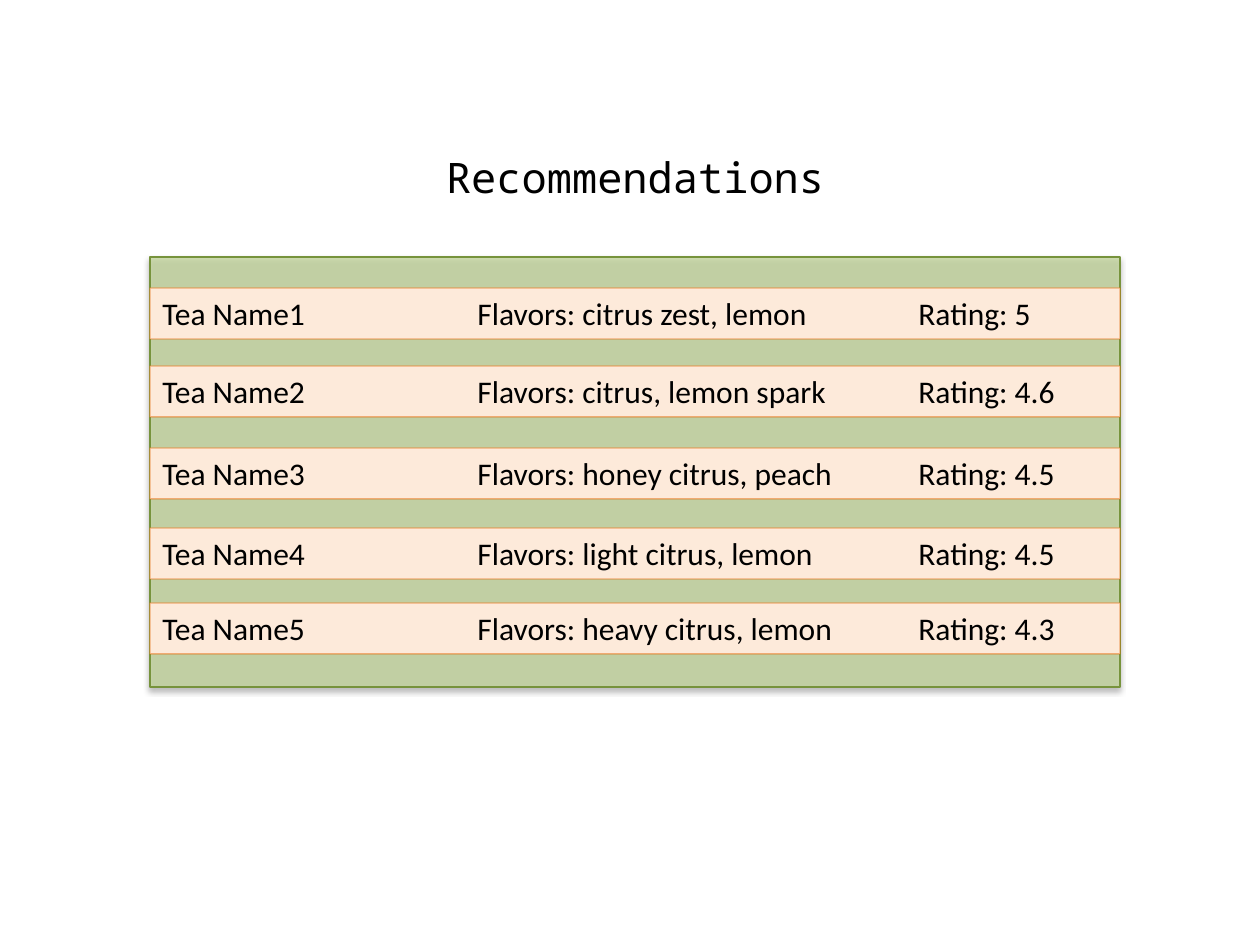
"""Build a slide listing five recommended teas with flavors and ratings."""
from lxml import etree
from pptx import Presentation
from pptx.dml.color import RGBColor
from pptx.enum.shapes import MSO_SHAPE
from pptx.enum.text import MSO_ANCHOR, MSO_AUTO_SIZE, PP_ALIGN
from pptx.oxml import parse_xml
from pptx.oxml.ns import qn
from pptx.util import Pt

PX = 914400 // 126
LEFT, WIDTH, ROW_HEIGHT = 150, 970, 51
FLAVORS_STOP, RATING_STOP = 315, 756
NAMESPACE = 'xmlns:a="http://schemas.openxmlformats.org/drawingml/2006/main"'


def color(value):
    return RGBColor.from_string(value)


def add_box(top, height, fill, line, fill_alpha=100, line_alpha=100):
    box = slide.shapes.add_shape(
        MSO_SHAPE.RECTANGLE, LEFT * PX, top * PX, WIDTH * PX, height * PX)
    box.shadow.inherit = False
    box.fill.solid()
    box.fill.fore_color.rgb = color(fill)
    box.line.color.rgb = color(line)
    box.line.width = Pt(0.75)
    tones = box._element.spPr.findall('.//' + qn('a:srgbClr'))
    for tone, alpha in zip(tones, (fill_alpha, line_alpha)):
        if alpha < 100:
            etree.SubElement(tone, qn('a:alpha'), val=str(alpha * 1000))
    return box


prs = Presentation()
prs.slide_width, prs.slide_height = 1260 * PX, 945 * PX
slide = prs.slides.add_slide(prs.slide_layouts[5])

panel = add_box(257, 430, 'C3D69B', '77933C', fill_alpha=75)
effects = panel._element.spPr.find(qn('a:effectLst'))
effects.append(parse_xml(
    f'<a:outerShdw {NAMESPACE} blurRad="{Pt(3.1)}" dist="{Pt(1.8)}" dir="5400000" '
    'rotWithShape="0"><a:srgbClr val="000000"><a:alpha val="35000"/></a:srgbClr>'
    '</a:outerShdw>'))

heading = slide.shapes.title
heading.left, heading.top = LEFT * PX, 145 * PX
heading.width, heading.height = WIDTH * PX, 63 * PX
heading.text_frame.text = 'Recommendations'
heading.text_frame.vertical_anchor = MSO_ANCHOR.TOP
heading.text_frame.auto_size = MSO_AUTO_SIZE.SHAPE_TO_FIT_TEXT
heading_line = heading.text_frame.paragraphs[0]
heading_line.alignment = PP_ALIGN.CENTER
heading_font = heading_line.runs[0].font
heading_font.name, heading_font.size = 'Noto Sans Mono', Pt(24)
heading_font.color.rgb = color('000000')

teas = [
    (288, 'Tea Name1', 'citrus zest, lemon', '5'),
    (366, 'Tea Name2', 'citrus, lemon spark', '4.6'),
    (448, 'Tea Name3', 'honey citrus, peach', '4.5'),
    (528, 'Tea Name4', 'light citrus, lemon', '4.5'),
    (603, 'Tea Name5', 'heavy citrus, lemon', '4.3'),
]
for top, name, flavors, rating in teas:
    row = add_box(top, ROW_HEIGHT, 'FDEADA', 'E46C0A', line_alpha=50)
    frame = row.text_frame
    frame.text = f'{name}\tFlavors: {flavors}\tRating: {rating}'
    frame.word_wrap = True
    frame.vertical_anchor = MSO_ANCHOR.TOP
    frame.auto_size = MSO_AUTO_SIZE.SHAPE_TO_FIT_TEXT
    entry = frame.paragraphs[0]
    entry.alignment = PP_ALIGN.LEFT
    stops = etree.SubElement(entry._p.get_or_add_pPr(), qn('a:tabLst'))
    for stop in (FLAVORS_STOP, RATING_STOP):
        etree.SubElement(stops, qn('a:tab'), pos=str(stop * PX), algn='l')
    font = entry.runs[0].font
    font.name, font.size = 'Calibri', Pt(18)
    font.color.rgb = color('000000')

prs.save("out.pptx")
